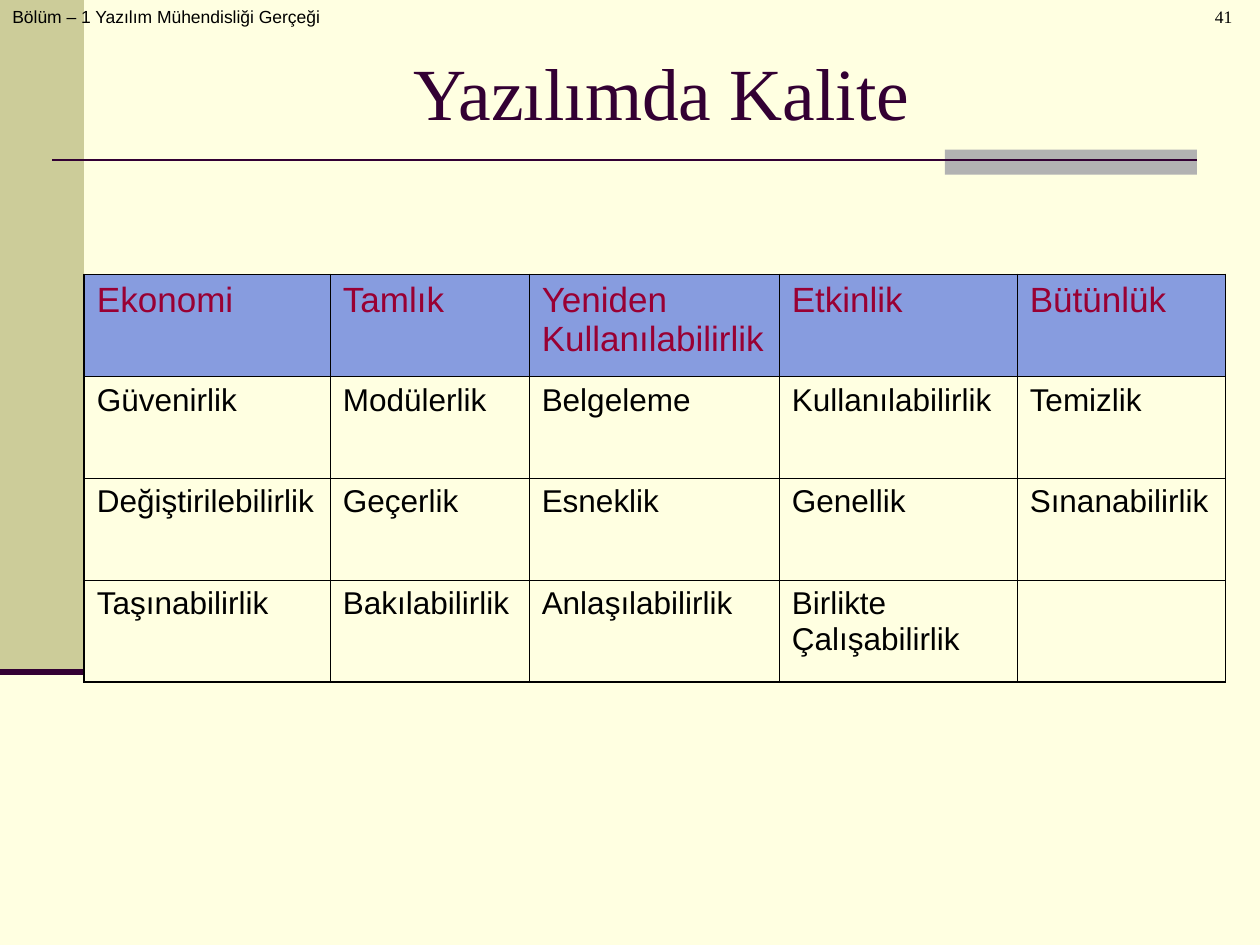
import pptx
import pptx.util
import pptx.dml.color
import pptx.enum.shapes
import pptx.enum.text
import pptx.oxml.ns
import lxml.etree

Pt = pptx.util.Pt
ALIGN = pptx.enum.text.PP_ALIGN
HUES = {"back": "FFFFE1", "olive": "CCCC99", "gray": "B2B2B2", "plum": "330033",
        "head": "879CDF", "wine": "990033", "black": "000000"}


def paint(fill, hue):
    fill.solid()
    fill.fore_color.rgb = pptx.dml.color.RGBColor.from_string(HUES[hue])


def write(frame, text, face, size, hue, align=ALIGN.LEFT):
    frame.text = text
    para = frame.paragraphs[0]
    para.alignment = align
    for run in para.runs:
        run.font.name = face
        run.font.size = Pt(size)
        paint(run.font.fill, hue)


deck = pptx.Presentation()
deck.slide_width, deck.slide_height = Pt(720), Pt(540)
slide = deck.slides.add_slide(deck.slide_layouts[5])
paint(slide.background.fill, "back")
shapes = slide.shapes

# Side band and title accent
for left, top, width, height, hue in [(0, 0, 48, 384, "olive"),
                                      (540, 85.5, 144, 14.4, "gray")]:
    box = shapes.add_shape(pptx.enum.shapes.MSO_SHAPE.RECTANGLE,
                           Pt(left), Pt(top), Pt(width), Pt(height))
    box.shadow.inherit = False
    paint(box.fill, hue)
    box.line.fill.background()

# Rules under the title and the side band
for start, end, level, weight in [(30, 684, 91.4, 1.5), (0, 48, 384, 3.5)]:
    rule = shapes.add_connector(pptx.enum.shapes.MSO_CONNECTOR.STRAIGHT,
                                Pt(start), Pt(level), Pt(end), Pt(level))
    paint(rule.line.fill, "plum")
    rule.line.width = Pt(weight)
    lxml.etree.SubElement(rule.element.spPr, pptx.oxml.ns.qn("a:effectLst"))

# Title
title = shapes.title
title.left, title.top, title.width, title.height = Pt(72), Pt(21.6), Pt(612), Pt(61.2)
title.text_frame.vertical_anchor = pptx.enum.text.MSO_ANCHOR.MIDDLE
write(title.text_frame, "Yazılımda Kalite", "Times New Roman", 42, "plum", ALIGN.CENTER)

# Chapter name and page number
for left, width, inset, text, face, align in [
        (0, 235.4, 7.2, "Bölüm – 1 Yazılım Mühendisliği Gerçeği", "Arial", ALIGN.LEFT),
        (655.2, 70.6, 24.5, "41", "Times New Roman", ALIGN.CENTER)]:
    frame = shapes.add_textbox(Pt(left), 0, Pt(width), Pt(36)).text_frame
    frame.word_wrap = True
    frame.margin_left = Pt(inset)
    write(frame, text, face, 10, "black", align)

# Table of quality traits
rows = [
    ["Ekonomi", "Tamlık", "Yeniden Kullanılabilirlik", "Etkinlik", "Bütünlük"],
    ["Güvenirlik", "Modülerlik", "Belgeleme", "Kullanılabilirlik", "Temizlik"],
    ["Değiştirilebilirlik", "Geçerlik", "Esneklik", "Genellik", "Sınanabilirlik"],
    ["Taşınabilirlik", "Bakılabilirlik", "Anlaşılabilirlik", "Birlikte Çalışabilirlik", ""],
]
widths = [140.6, 113.6, 142.9, 136, 119]
tall = 58.2
table = shapes.add_table(len(rows), len(widths), Pt(48.2), Pt(156.8),
                         Pt(sum(widths)), Pt(tall * len(rows))).table
table.first_row = table.horz_banding = False
for col, width in zip(table.columns, widths):
    col.width = Pt(width)
for r, names in enumerate(rows):
    table.rows[r].height = Pt(tall)
    for c, name in enumerate(names):
        cell = table.cell(r, c)
        size, hue = (20, "wine") if r == 0 else (18, "black")
        write(cell.text_frame, name, "Arial", size, hue)

        # Thick outer borders, thin inner ones
        props = cell._tc.get_or_add_tcPr()
        outer = {"L": c == 0, "R": c == len(widths) - 1,
                 "T": r == 0, "B": r == len(rows) - 1}
        for side, edge in outer.items():
            line = lxml.etree.SubElement(props, pptx.oxml.ns.qn("a:ln" + side),
                                         w=str(Pt(1.08 if edge else 0.45)))
            solid = lxml.etree.SubElement(line, pptx.oxml.ns.qn("a:solidFill"))
            lxml.etree.SubElement(solid, pptx.oxml.ns.qn("a:srgbClr"), val=HUES["black"])

        if r == 0:
            paint(cell.fill, "head")
        else:
            cell.fill.background()

deck.save("out.pptx")
